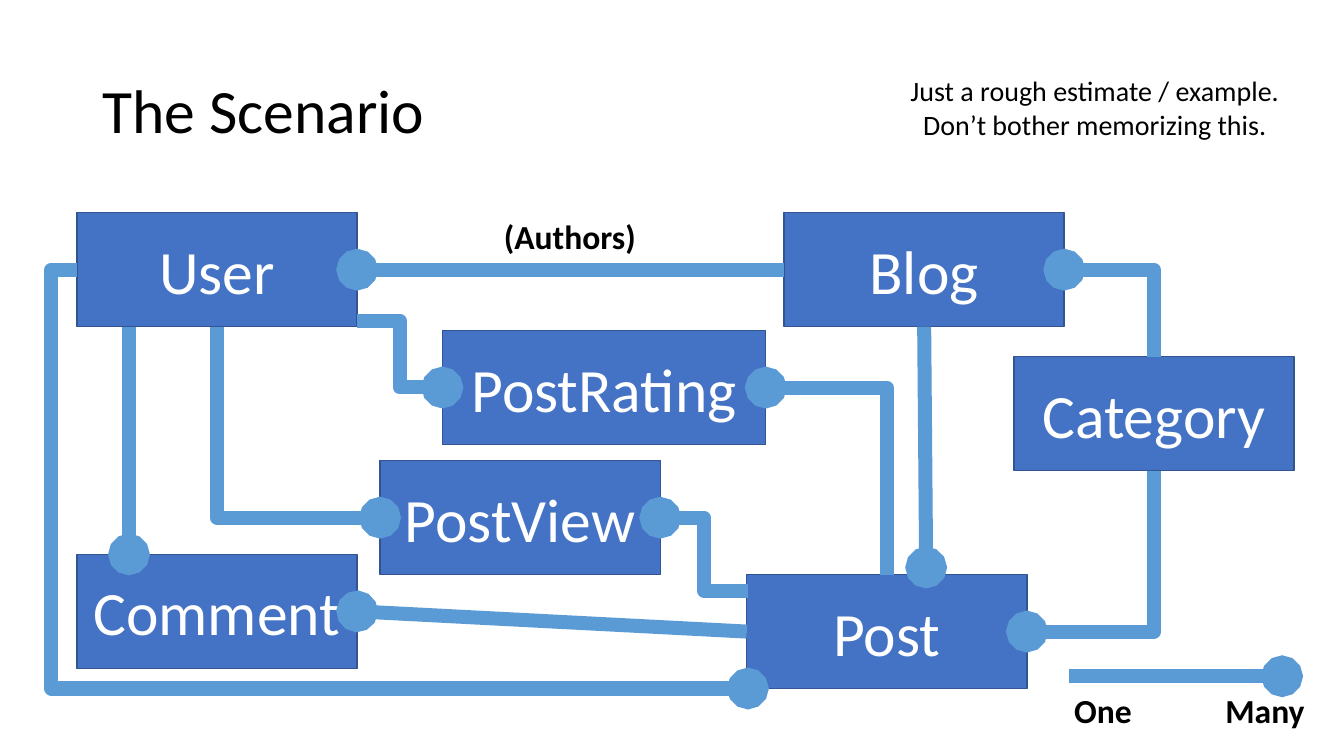
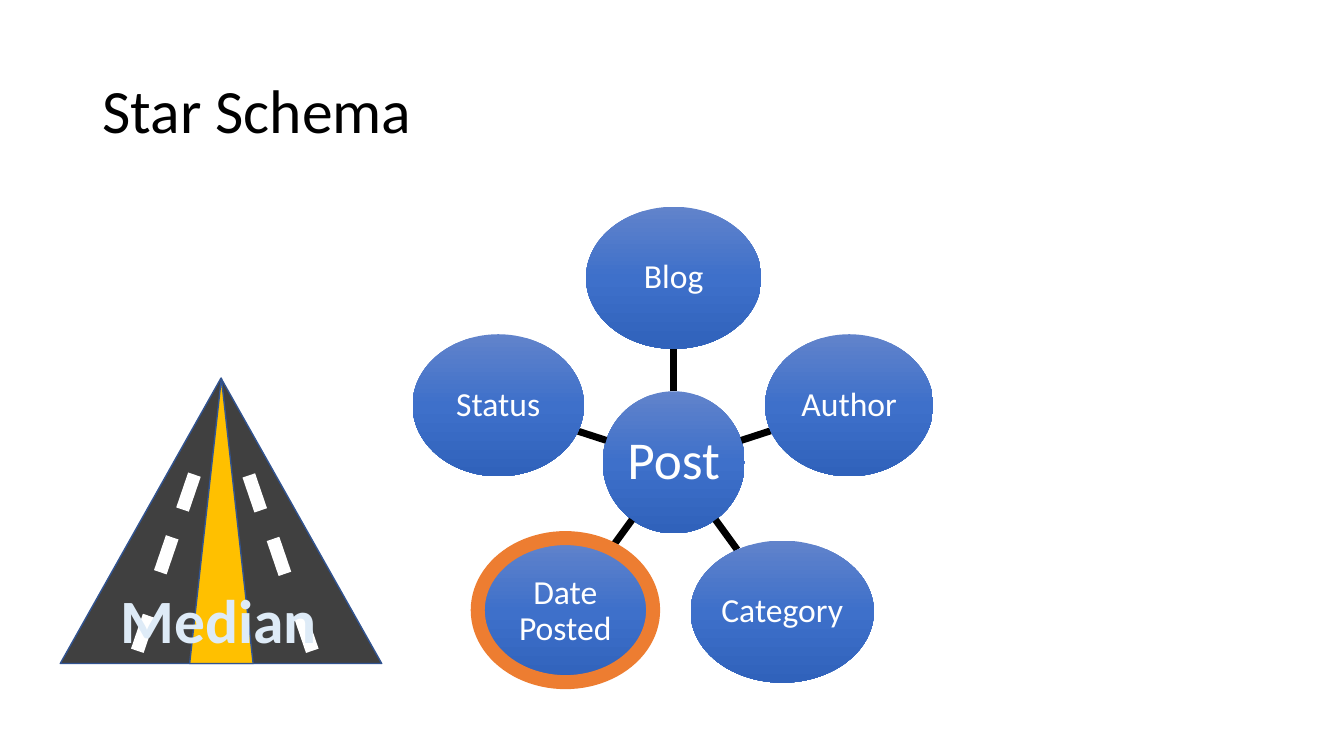
from copy import deepcopy
from dataclasses import dataclass
from math import cos, hypot, radians, sin
from typing import Any, Optional, Union

from lxml import etree
from pptx import Presentation
from pptx.dml.color import RGBColor
from pptx.enum.shapes import MSO_CONNECTOR, MSO_SHAPE
from pptx.enum.text import MSO_ANCHOR, MSO_AUTO_SIZE, PP_ALIGN
from pptx.oxml.ns import qn
from pptx.util import Cm, Pt

STRAIGHT, ELBOW = MSO_CONNECTOR.STRAIGHT, MSO_CONNECTOR.ELBOW
RECTANGLE, ELLIPSE = MSO_SHAPE.RECTANGLE, MSO_SHAPE.OVAL
TRIANGLE = MSO_SHAPE.ISOSCELES_TRIANGLE
MIDDLE, TOP_ANCHOR = MSO_ANCHOR.MIDDLE, MSO_ANCHOR.TOP
LEFT_ALIGN, CENTER = PP_ALIGN.LEFT, PP_ALIGN.CENTER
GROW, FIXED = MSO_AUTO_SIZE.SHAPE_TO_FIT_TEXT, MSO_AUTO_SIZE.NONE
TOP, LEFT, BOTTOM, RIGHT = range(4)

BLACK = RGBColor(0x00, 0x00, 0x00)
WHITE = RGBColor(0xFF, 0xFF, 0xFF)
ENTITY_BLUE = RGBColor(0x44, 0x72, 0xC4)
OUTLINE_BLUE = RGBColor(0x32, 0x54, 0x91)
LINK_BLUE = RGBColor(0x5B, 0x9B, 0xD5)
PALE_BLUE = RGBColor(0xDE, 0xEB, 0xF7)
ORANGE = RGBColor(0xED, 0x7D, 0x31)
ASPHALT = RGBColor(0x40, 0x40, 0x40)
YELLOW = RGBColor(0xFF, 0xC0, 0x00)
NODE_GRADIENT = (
    (0.0, RGBColor(0x61, 0x83, 0xCB)),
    (0.5, RGBColor(0x3E, 0x70, 0xCA)),
    (1.0, RGBColor(0x30, 0x62, 0xBB)),
)

FONT = "Calibri"
TITLE_ONLY = 5
TITLE_PLACE = {"left": Cm(2.33), "top": Cm(1.01), "width": Cm(29.21), "height": Cm(3.68)}

Point = tuple[float, float]


@dataclass(frozen=True)
class TextStyle:
    size: float
    color: RGBColor
    bold: bool = False
    align: Any = CENTER
    line_spacing: float = 1.0


@dataclass(frozen=True)
class Box:
    left: float
    top: float
    width: float = 7.06
    height: float = 2.87


@dataclass(frozen=True)
class Label:
    lines: tuple[str, ...]
    box: Box
    style: TextStyle
    wrap: bool = False


@dataclass(frozen=True)
class Joint:
    entity: str
    side: int


@dataclass(frozen=True)
class Relation:
    many: Union[Joint, Point]
    one: Union[Joint, Point]
    preset: str = "line"
    bend: Optional[int] = None


@dataclass(frozen=True)
class Satellite:
    name: str
    width: float


TITLE_STYLE = TextStyle(44, BLACK, align=LEFT_ALIGN, line_spacing=0.9)
ENTITY_STYLE = TextStyle(44, WHITE)
CAPTION_STYLE = TextStyle(24, BLACK, bold=True, align=LEFT_ALIGN)
NOTE_STYLE = TextStyle(20, BLACK)
HUB_STYLE = TextStyle(38, WHITE, line_spacing=0.9)
SATELLITE_STYLE = TextStyle(24, WHITE, line_spacing=0.9)
MEDIAN_STYLE = TextStyle(44, PALE_BLUE, bold=True)

ENTITIES = {
    "Comment": Box(1.94, 13.97),
    "Category": Box(25.55, 8.99),
    "Blog": Box(19.76, 5.36),
    "Post": Box(18.82, 14.48),
    "PostRating": Box(11.15, 8.33, width=8.15),
    "User": Box(1.94, 5.36),
    "PostView": Box(9.58, 11.61),
}
RELATIONS = (
    Relation(Joint("Blog", RIGHT), Joint("Category", TOP), "bentConnector2"),
    Relation(Joint("Post", RIGHT), Joint("Category", BOTTOM), "bentConnector2"),
    Relation(Joint("User", RIGHT), Joint("Blog", LEFT)),
    Relation(Joint("Comment", RIGHT), Joint("Post", LEFT)),
    Relation(Joint("PostView", RIGHT), (18.85, 14.88), "bentConnector3", 50000),
    Relation(Joint("PostRating", LEFT), (8.99, 8.08), "bentConnector3", 50000),
    Relation((18.85, 17.35), Joint("User", LEFT), "bentConnector3", 103800),
    Relation(Joint("PostRating", RIGHT), Joint("Post", TOP), "bentConnector2"),
    Relation(Joint("PostView", LEFT), Joint("User", BOTTOM), "bentConnector2"),
    Relation((23.34, 14.3), Joint("Blog", BOTTOM)),
    Relation((3.25, 13.97), (3.25, 8.23)),
)
LEGEND_RELATION = Relation((32.31, 17.04), (26.95, 17.04))
LEGEND_LABELS = (
    Label(("Many",), Box(30.63, 17.25, 2.54, 1.27), CAPTION_STYLE),
    Label(("One",), Box(26.82, 17.25, 1.98, 1.27), CAPTION_STYLE),
)
SCENARIO_LABELS = (
    Label(("(Authors)",), Box(12.45, 5.31, 3.86, 1.27), CAPTION_STYLE),
    Label(
        ("Just a rough estimate / example.", "Don’t bother memorizing this."),
        Box(22.56, 1.73, 10.06, 1.96),
        NOTE_STYLE,
    ),
)

HUB_CENTER: Point = (16.98, 11.65)
NODE_HEIGHT = 3.58
ORBIT = 4.65
SATELLITES = (
    Satellite("Blog", 4.42),
    Satellite("Author", 4.24),
    Satellite("Category", 4.62),
    Satellite("Date Posted", 4.65),
    Satellite("Status", 4.32),
)
HIGHLIGHT = Box(12.04, 13.56, 4.42, 3.63)
ROAD = Box(1.52, 9.53, 8.1, 7.19)
MEDIAN_STRIP = Box(4.78, 9.53, 1.6, 7.19)
MEDIAN_LABEL = Label(("Median",), Box(0.56, 14.55, 9.91, 2.13), MEDIAN_STYLE, wrap=True)
DASH_RUN, DASH_DROP = 0.3, 0.88
LANE_DASHES = {
    1: ((6.27, 11.98), (6.88, 13.58), (7.57, 15.52)),
    -1: ((4.9, 11.96), (4.34, 13.54), (3.76, 15.52)),
}


def assign(target: Any, values: dict[str, Any]) -> None:
    for name, value in values.items():
        setattr(target, name, value)


def place(box: Box) -> tuple[Cm, Cm, Cm, Cm]:
    return Cm(box.left), Cm(box.top), Cm(box.width), Cm(box.height)


def write(frame: Any, lines: tuple[str, ...], style: TextStyle, values: dict[str, Any]) -> None:
    assign(frame, values)
    for index, line in enumerate(lines):
        para = frame.add_paragraph() if index else frame.paragraphs[0]
        assign(para, {"alignment": style.align, "line_spacing": style.line_spacing})
        span = para.add_run()
        span.text = line
        assign(span.font, {"name": FONT, "size": Pt(style.size), "bold": style.bold})
        span.font.color.rgb = style.color


def add_page(deck: Any, title: str) -> Any:
    page = deck.slides.add_slide(deck.slide_layouts[TITLE_ONLY])
    heading = page.shapes.title
    assign(heading, TITLE_PLACE)
    values = {"vertical_anchor": MIDDLE, "word_wrap": True, "auto_size": FIXED}
    write(heading.text_frame, (title,), TITLE_STYLE, values)
    return page


def add_figure(
    shapes: Any, kind: Any, box: Box, fill: Optional[RGBColor],
    outline: Optional[RGBColor] = OUTLINE_BLUE, weight: float = 1,
) -> Any:
    figure = shapes.add_shape(kind, *place(box))
    figure.shadow.inherit = False
    if fill is None:
        figure.fill.background()
    else:
        figure.fill.solid()
        figure.fill.fore_color.rgb = fill
    if outline is None:
        figure.line.fill.background()
    else:
        figure.line.color.rgb = outline
        figure.line.width = Pt(weight)
    return figure


def add_label(shapes: Any, label: Label) -> Any:
    text_box = shapes.add_textbox(*place(label.box))
    values = {"vertical_anchor": TOP_ANCHOR, "word_wrap": label.wrap, "auto_size": GROW}
    write(text_box.text_frame, label.lines, label.style, values)
    return text_box


def add_line(
    shapes: Any, start: Point, end: Point, color: RGBColor, weight: float, kind: Any = STRAIGHT
) -> Any:
    line = shapes.add_connector(kind, *(Cm(value) for value in (*start, *end)))
    line.line.color.rgb = color
    line.line.width = Pt(weight)
    etree.SubElement(line._element.spPr, qn("a:effectLst"))
    return line


def locate(end: Union[Joint, Point]) -> Point:
    if not isinstance(end, Joint):
        return end
    box = ENTITIES[end.entity]
    across, down = {TOP: (0.5, 0), LEFT: (0, 0.5), BOTTOM: (0.5, 1), RIGHT: (1, 0.5)}[end.side]
    return box.left + across * box.width, box.top + down * box.height


def add_relation(shapes: Any, relation: Relation, entities: dict[str, Any]) -> None:
    kind = STRAIGHT if relation.preset == "line" else ELBOW
    many, one = relation.many, relation.one
    link = add_line(shapes, locate(many), locate(one), LINK_BLUE, 10, kind)
    for end, connect in ((many, link.begin_connect), (one, link.end_connect)):
        if isinstance(end, Joint):
            connect(entities[end.entity], end.side)
    geometry = link._element.spPr.find(qn("a:prstGeom"))
    geometry.set("prst", relation.preset)
    if relation.bend is not None:
        guides = geometry.find(qn("a:avLst"))
        etree.SubElement(guides, qn("a:gd"), name="adj1", fmla=f"val {relation.bend}")
    outline = link._element.spPr.find(qn("a:ln"))
    etree.SubElement(outline, qn("a:headEnd"), type="oval")


def build_scenario(deck: Any) -> None:
    page = add_page(deck, "The Scenario")
    entities: dict[str, Any] = {}
    for name, box in ENTITIES.items():
        entities[name] = add_figure(page.shapes, RECTANGLE, box, ENTITY_BLUE)
        values = {"vertical_anchor": MIDDLE, "word_wrap": True}
        write(entities[name].text_frame, (name,), ENTITY_STYLE, values)
    for relation in RELATIONS:
        add_relation(page.shapes, relation, entities)
    for label in SCENARIO_LABELS:
        add_label(page.shapes, label)
    legend = page.shapes.add_group_shape().shapes
    add_relation(legend, LEGEND_RELATION, entities)
    for label in LEGEND_LABELS:
        add_label(legend, label)


def add_node(shapes: Any, name: str, center: Point, width: float, style: TextStyle) -> None:
    box = Box(center[0] - width / 2, center[1] - NODE_HEIGHT / 2, width, NODE_HEIGHT)
    node = add_figure(shapes, ELLIPSE, box, ENTITY_BLUE, outline=None)
    node.fill.gradient()
    node.fill.gradient_angle = 270
    stops = node._element.spPr.find(qn("a:gradFill")).find(qn("a:gsLst"))
    stops.insert(1, deepcopy(stops[0]))
    for stop, (position, color) in zip(node.fill.gradient_stops, NODE_GRADIENT):
        stop.position = position
        stop.color.rgb = color
    sides = ("left", "top", "right", "bottom")
    values = {f"margin_{side}": Cm(0.05) for side in sides}
    write(node.text_frame, (name,), style, {**values, "vertical_anchor": MIDDLE, "word_wrap": True})


def build_star(deck: Any) -> None:
    page = add_page(deck, "Star Schema")
    add_node(page.shapes, "Post", HUB_CENTER, NODE_HEIGHT, HUB_STYLE)
    for index, satellite in enumerate(SATELLITES):
        angle = radians(index * 360 / len(SATELLITES) - 90)
        reach = 1 / hypot(cos(angle) * 2 / satellite.width, sin(angle) * 2 / NODE_HEIGHT)
        start, end, center = (
            (HUB_CENTER[0] + distance * cos(angle), HUB_CENTER[1] + distance * sin(angle))
            for distance in (NODE_HEIGHT / 2, ORBIT - reach, ORBIT)
        )
        add_line(page.shapes, start, end, BLACK, 5)
        add_node(page.shapes, satellite.name, center, satellite.width, SATELLITE_STYLE)
    add_figure(page.shapes, ELLIPSE, HIGHLIGHT, None, ORANGE, 10)

    road = page.shapes.add_group_shape().shapes
    add_figure(road, TRIANGLE, ROAD, ASPHALT)
    add_figure(road, TRIANGLE, MEDIAN_STRIP, YELLOW)
    for direction, starts in LANE_DASHES.items():
        for left, top in starts:
            add_line(road, (left, top), (left + direction * DASH_RUN, top + DASH_DROP), WHITE, 9.5)
    median = add_label(page.shapes, MEDIAN_LABEL)
    properties = median.text_frame.paragraphs[0].runs[0].font._element
    outline = etree.Element(qn("a:ln"), w=str(Pt(2)))
    fill = etree.SubElement(outline, qn("a:solidFill"))
    etree.SubElement(fill, qn("a:srgbClr"), val=str(OUTLINE_BLUE))
    properties.insert(0, outline)


def main() -> None:
    deck = Presentation()
    assign(deck, {"slide_width": Cm(33.87), "slide_height": Cm(19.05)})
    build_scenario(deck)
    build_star(deck)
    deck.save("out.pptx")


if __name__ == "__main__":
    main()
